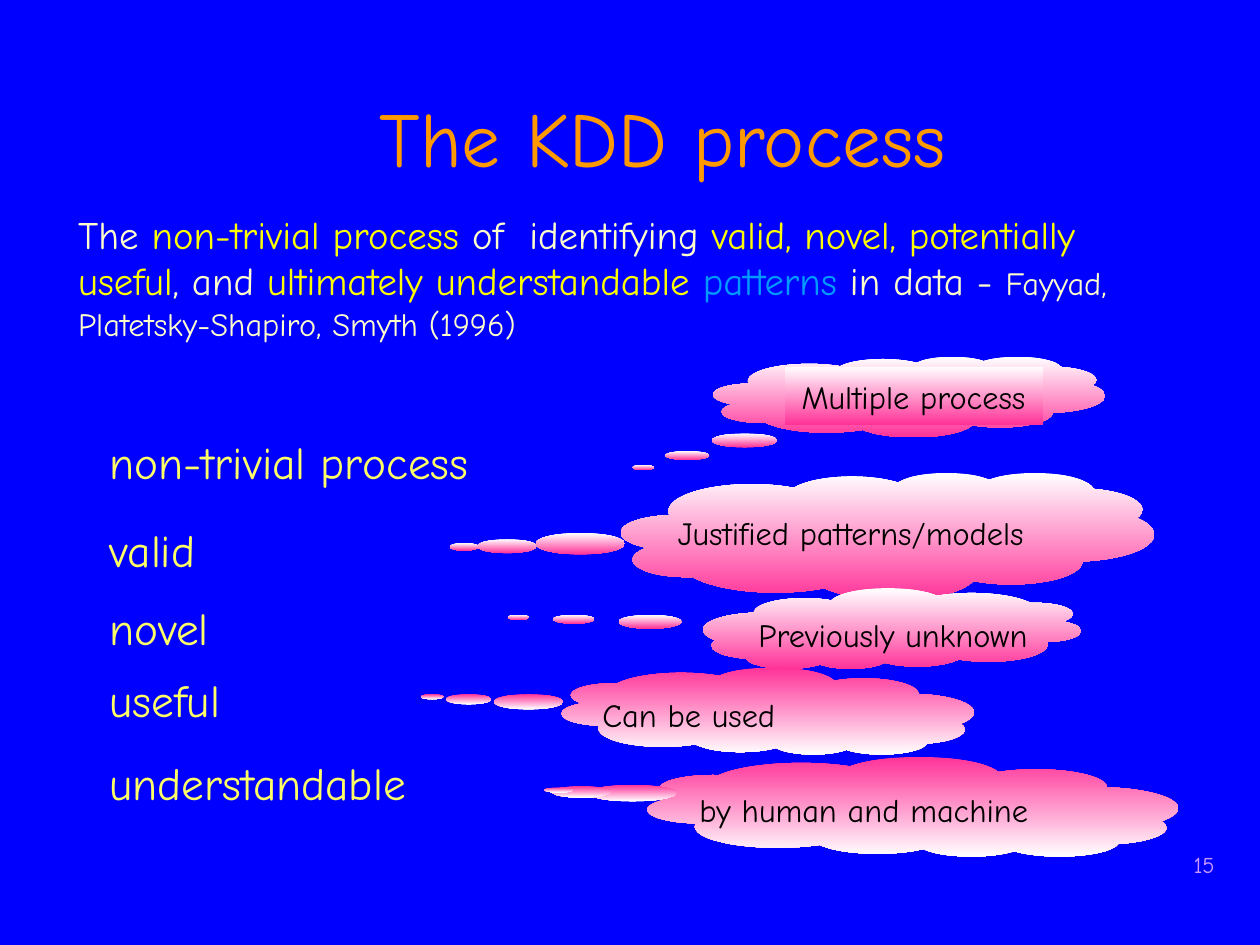
from pptx import Presentation
from pptx.dml.color import RGBColor
from pptx.enum.shapes import MSO_SHAPE
from pptx.enum.text import MSO_ANCHOR, PP_ALIGN
from pptx.oxml.ns import qn
from pptx.util import Inches, Pt

CLOUD, OVAL, RECT = MSO_SHAPE.CLOUD, MSO_SHAPE.OVAL, MSO_SHAPE.RECTANGLE
LEFT, CENTER, RIGHT = PP_ALIGN.LEFT, PP_ALIGN.CENTER, PP_ALIGN.RIGHT
MIDDLE, TOP = MSO_ANCHOR.MIDDLE, MSO_ANCHOR.TOP

THEME = {
    "font": "Comic Neue",
    "back": "0000FF", "title": "FF9900", "body": "FFFFCC", "key": "FFFF00",
    "link": "0099FF", "term": "FFFF66", "note": "000000", "page": "CC99FF",
    "pale": "FFFFFF", "pink": "FF3399",
    "size": {"title": 44.3, "body": 22.2, "cite": 18.5, "term": 25.9,
             "note": 18.5, "page": 12.9},
}

TITLE = "The KDD process"
PAGE = "15"
# Text, colour, size
QUOTE = [
    ("The ", "body", "body"),
    ("non-trivial process", "key", "body"),
    (" of  identifying ", "body", "body"),
    ("valid, novel, potentially useful", "key", "body"),
    (", and ", "body", "body"),
    ("ultimately understandable ", "key", "body"),
    ("patterns", "link", "body"),
    (" in data - ", "body", "body"),
    ("Fayyad, Platetsky-Shapiro, Smyth (1996)", "body", "cite"),
]

# "turn" rotates the cloud by 180 degrees, "flip" mirrors it,
# "rise" runs the shading from pink down to pale.
ROWS = [
    {"term": "non-trivial process", "top": 3.36,
     "cloud": (5.66, 2.83, 3.11, 0.64),
     "dots": [(5.65, 3.44, 0.52, 0.11), (5.28, 3.58, 0.35, 0.07),
              (5.02, 3.69, 0.17, 0.04)],
     "panel": (6.23, 2.91, 2.05, 0.46),
     "note": "Multiple process", "at": (6.22, 2.99, 2.06, 0.31),
     "align": CENTER},
    {"term": "valid", "top": 4.06,
     "cloud": (4.93, 3.75, 4.23, 1.01),
     "dots": [(4.25, 4.23, 0.71, 0.17), (3.79, 4.28, 0.47, 0.11),
              (3.57, 4.31, 0.23, 0.06)],
     "note": "Justified patterns/models", "at": (5.34, 4.07, 3.29, 0.31)},
    {"term": "novel", "top": 4.68, "turn": True,
     "cloud": (5.58, 4.67, 3, 0.64),
     "dots": [(4.91, 4.88, 0.5, 0.11), (4.39, 4.88, 0.33, 0.07),
              (4.03, 4.88, 0.17, 0.04)],
     "note": "Previously unknown", "at": (5.98, 4.88, 2.36, 0.31)},
    {"term": "useful", "top": 5.25, "turn": True, "flip": True, "rise": True,
     "cloud": (4.46, 5.3, 3.27, 0.69),
     "dots": [(3.92, 5.51, 0.55, 0.12), (3.54, 5.51, 0.36, 0.08),
              (3.34, 5.51, 0.18, 0.04)],
     "note": "Can be used", "at": (4.74, 5.49, 1.59, 0.37)},
    {"term": "understandable", "top": 5.91, "turn": True, "flip": True,
     "rise": True,
     "cloud": (5.14, 6.01, 4.21, 0.79),
     "dots": [(4.67, 6.23, 0.7, 0.13), (4.38, 6.24, 0.47, 0.09),
              (4.32, 6.25, 0.23, 0.04)],
     "note": "by human and machine", "at": (5.51, 6.27, 2.74, 0.31)},
]


def tint(name):
    return RGBColor.from_string(THEME[name])


def write(slide, box, runs, align=LEFT, anchor=MIDDLE):
    """Add a text box whose runs are (text, colour, size) tuples."""
    frame = slide.shapes.add_textbox(*map(Inches, box)).text_frame
    frame.word_wrap = True
    frame.vertical_anchor = anchor
    frame.margin_left = frame.margin_right = Inches(0.04)
    frame.margin_top = frame.margin_bottom = 0
    para = frame.paragraphs[0]
    para.alignment = align
    for text, color, size in runs:
        run = para.add_run()
        run.text = text
        run.font.name = THEME["font"]
        run.font.size = Pt(THEME["size"][size])
        run.font.color.rgb = tint(color)


def shade(slide, kind, box, rise=False):
    """Add a borderless shape with an upright gradient, pink at the end."""
    shape = slide.shapes.add_shape(kind, *map(Inches, box))
    shape.shadow.inherit = False
    shape.line.fill.background()
    shape.fill.gradient()
    shape.fill.gradient_angle = 270
    names = ("pink", "pale") if rise else ("pale", "pink")
    for stop, name in zip(shape.fill.gradient_stops, names):
        stop.color.rgb = tint(name)
    shape._element.spPr.find(qn("a:gradFill")).set("rotWithShape", "0")
    return shape


def draw(slide, row):
    rise = row.get("rise", False)
    write(slide, (0.83, row["top"], 4.26, 0.6), [(row["term"], "term", "term")])
    cloud = shade(slide, CLOUD, row["cloud"], rise)
    if row.get("turn"):
        cloud.rotation = 180
    if row.get("flip"):
        cloud._element.spPr.find(qn("a:xfrm")).set("flipH", "1")
    for dot in row["dots"]:
        shade(slide, OVAL, dot, rise)
    if "panel" in row:
        shade(slide, RECT, row["panel"])
    write(slide, row["at"], [(row["note"], "note", "note")],
          row.get("align", LEFT))


def main():
    deck = Presentation()
    deck.slide_width, deck.slide_height = Inches(10), Inches(7.5)
    slide = deck.slides.add_slide(deck.slide_layouts[6])
    slide.background.fill.solid()
    slide.background.fill.fore_color.rgb = tint("back")
    write(slide, (7.58, 6.75, 2.1, 0.35), [(PAGE, "page", "page")], RIGHT, TOP)
    write(slide, (1, 0.6, 8.52, 0.96), [(TITLE, "title", "title")], CENTER)
    write(slide, (0.58, 1.51, 8.39, 1.37), QUOTE)
    for row in ROWS:
        draw(slide, row)
    deck.save("out.pptx")


if __name__ == "__main__":
    main()
